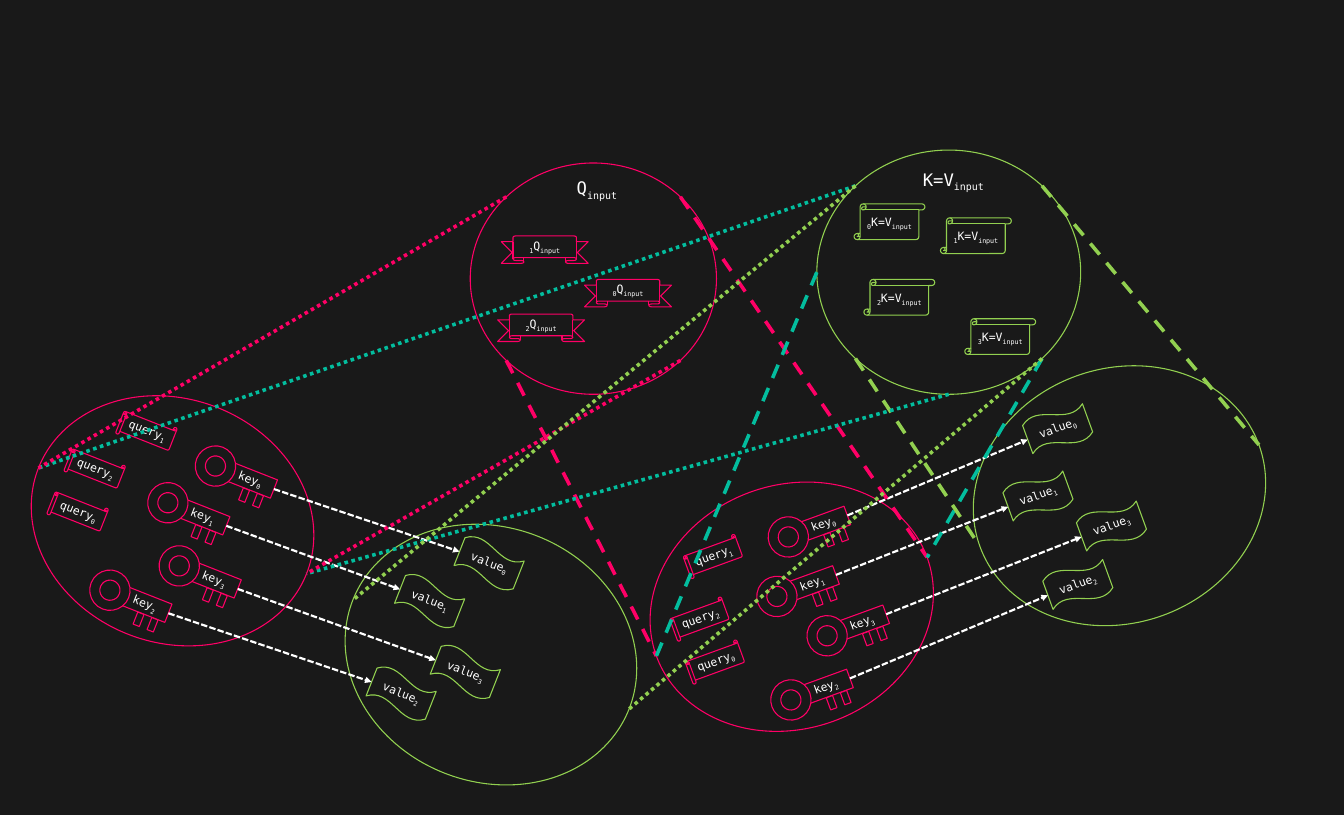
from dataclasses import dataclass
from math import cos, radians, sin

from lxml import etree
from pptx import Presentation
from pptx.dml.color import RGBColor
from pptx.enum.dml import MSO_LINE
from pptx.enum.shapes import MSO_CONNECTOR, MSO_SHAPE
from pptx.enum.text import MSO_ANCHOR, PP_ALIGN
from pptx.oxml.ns import qn
from pptx.util import Cm, Pt

COLORS = {"dark": "191919", "pink": "FF0066", "green": "92D050",
          "teal": "03BD9E", "white": "FFFFFF"}
FONT = "DejaVu Sans Mono"

ELLIPSE, RECTANGLE, DONUT = MSO_SHAPE.OVAL, MSO_SHAPE.RECTANGLE, MSO_SHAPE.DONUT
QUERY_SCROLL, INPUT_SCROLL = MSO_SHAPE.HORIZONTAL_SCROLL, MSO_SHAPE.VERTICAL_SCROLL
WAVE, RIBBON = MSO_SHAPE.WAVE, MSO_SHAPE.UP_RIBBON
STRAIGHT = MSO_CONNECTOR.STRAIGHT
DASH, SHORT_DASH, DOT = MSO_LINE.DASH, MSO_LINE.SQUARE_DOT, MSO_LINE.ROUND_DOT
CENTER, MIDDLE = PP_ALIGN.CENTER, MSO_ANCHOR.MIDDLE

# Width and height of each kind of element, in inches
HEAD_SIZE, SPACE_SIZE = (5.57, 4.71), (5.74, 4.92)
QUERY_SIZE, KEY_SIZE, VALUE_SIZE = (1.08, 0.53), (0.99, 0.38), (1.23, 0.77)
RING_SIZE, TOOTH_SIZE = (0.78, 0.78), (0.25, 0.13)
RIBBON_SIZE, SCROLL_SIZE = (1.68, 0.53), (1.37, 0.69)

# Each head: rotation, ellipse corners, and corners of its labelled elements
RIGHT_HEAD = {
    "rotation": 340, "value_space": (18.77, 7.12), "key_space": (12.52, 9.37),
    "queries": {1: (13.24, 10.49), 2: (12.98, 11.7), 0: (13.28, 12.53)},
    "keys": {2: (15.47, 13.09), 0: (15.42, 9.94), 3: (16.17, 11.85), 1: (15.2, 11.09)},
    "values": {0: (19.83, 7.9), 1: (19.45, 9.2), 3: (20.87, 9.78), 2: (20.22, 10.91)},
}
LEFT_HEAD = {
    "rotation": 21.5, "value_space": (6.62, 10.19), "key_space": (0.55, 7.71),
    "queries": {1: (2.29, 8.06), 2: (1.29, 8.79), 0: (0.96, 9.62)},
    "keys": {2: (2.3, 11.48), 0: (4.34, 9.08), 3: (3.64, 11.01), 1: (3.42, 9.79)},
    "values": {0: (8.84, 10.5), 1: (7.69, 11.23), 3: (8.38, 12.6), 2: (7.14, 13.02)},
}
Q_RIBBONS = {1: (9.69, 4.56), 2: (9.62, 6.07), 0: (11.3, 5.4)}
KV_SCROLLS = {0: (16.51, 3.94), 1: (18.18, 4.21), 3: (18.65, 6.16), 2: (16.7, 5.4)}


@dataclass
class Box:
    """A frame in inches that is turned about its centre."""
    corner: tuple
    size: tuple
    rotation: float = 0

    def point(self, across, down):
        """Return the place at an offset from the centre, along the turned axes."""
        turn = radians(self.rotation)
        return (self.corner[0] + self.size[0] / 2 + across * cos(turn) - down * sin(turn),
                self.corner[1] + self.size[1] / 2 + across * sin(turn) + down * cos(turn))

    def site(self, angle):
        """Return the rim point at an angle, clockwise from the right."""
        return self.point(self.size[0] / 2 * cos(radians(angle)),
                          self.size[1] / 2 * sin(radians(angle)))

    def attached(self, across, down, size, turn=0):
        """Return a box centred at an offset within this one."""
        x, y = self.point(across, down)
        return Box((x - size[0] / 2, y - size[1] / 2), size, self.rotation + turn)


def lengths(*inches):
    """Convert inches to slide lengths."""
    return [Cm(value * 2.54) for value in inches]


def color(name):
    """Look up a colour by name."""
    return RGBColor.from_string(COLORS[name])


def write_label(shape, body, after, before="", size=16):
    """Write centred text with subscripts before and after it."""
    frame = shape.text_frame
    frame.word_wrap = False
    frame.vertical_anchor = MIDDLE
    paragraph = frame.paragraphs[0]
    paragraph.alignment = CENTER
    paragraph.font.name = FONT
    paragraph.font.size = Pt(size)
    paragraph.font.color.rgb = color("white")
    for text, lowered in ((before, True), (body, False), (after, True)):
        if text:
            run = paragraph.add_run()
            run.text = text
            if lowered:
                run._r.get_or_add_rPr().set("baseline", "-25000")


def add_outline(shapes, kind, box, line_color, adjustments=()):
    """Add a dark preset shape with a coloured outline."""
    shape = shapes.add_shape(kind, *lengths(*box.corner, *box.size))
    shape.rotation = box.rotation
    shape.shadow.inherit = False
    shape.fill.solid()
    shape.fill.fore_color.rgb = color("dark")
    shape.line.color.rgb = color(line_color)
    shape.line.width = Pt(1.5)
    for index, value in enumerate(adjustments):
        shape.adjustments[index] = value
    return shape


def add_line(shapes, start, end, line_color, dash, width=5, arrow=False):
    """Add a dashed straight line, with an arrowhead at its end if asked."""
    connector = shapes.add_connector(STRAIGHT, *lengths(*start, *end))
    connector.line.color.rgb = color(line_color)
    connector.line.width = Pt(width)
    connector.line.dash_style = dash
    if arrow:
        etree.SubElement(connector.line._get_or_add_ln(), qn("a:tailEnd"), type="triangle")
    etree.SubElement(connector._element.spPr, qn("a:effectLst"))


def add_title(shapes, corner, size, body):
    """Add the heading of an input ellipse."""
    textbox = shapes.add_textbox(*lengths(*corner, *size))
    write_label(textbox, body, "input", size=24)


def add_key(shapes, box, number):
    """Add a key: labelled shaft, ring and two teeth."""
    write_label(add_outline(shapes, RECTANGLE, box, "pink"), "key", str(number))
    add_outline(shapes, RECTANGLE, box.attached(0, 0.32, TOOTH_SIZE, 90), "pink")
    add_outline(shapes, DONUT, box.attached(-0.72, 0, RING_SIZE), "pink")
    add_outline(shapes, RECTANGLE, box.attached(0.29, 0.32, TOOTH_SIZE, 90), "pink")


def add_head(slide, head):
    """Add one attention head as a group and return its two ellipse boxes."""
    shapes = slide.shapes.add_group_shape().shapes
    rotation = head["rotation"]
    value_space = Box(head["value_space"], SPACE_SIZE, rotation)
    key_space = Box(head["key_space"], HEAD_SIZE, rotation)
    keys = {number: Box(corner, KEY_SIZE, rotation) for number, corner in head["keys"].items()}
    values = {number: Box(corner, VALUE_SIZE, rotation)
              for number, corner in head["values"].items()}
    add_outline(shapes, ELLIPSE, value_space, "green")
    add_outline(shapes, ELLIPSE, key_space, "pink")
    for number, corner in head["queries"].items():
        scroll = add_outline(shapes, QUERY_SCROLL, Box(corner, QUERY_SIZE, rotation), "pink")
        write_label(scroll, "query", str(number))
    for number, box in keys.items():
        add_key(shapes, box, number)
    for number, box in values.items():
        write_label(add_outline(shapes, WAVE, box, "green"), "value", str(number))
    for number, box in values.items():
        add_line(shapes, keys[number].site(0), box.site(180), "white", SHORT_DASH, 3, True)
    return key_space, value_space


def add_inputs(shapes, kind, corners, size, line_color, body, adjustments):
    """Add the numbered elements of an input ellipse."""
    for number, corner in corners.items():
        shape = add_outline(shapes, kind, Box(corner, size), line_color, adjustments)
        write_label(shape, body, "input", before=str(number))


def main():
    """Build the slide."""
    presentation = Presentation()
    presentation.slide_width, presentation.slide_height = lengths(25.98, 15.75)
    slide = presentation.slides.add_slide(presentation.slide_layouts[6])
    slide.background.fill.solid()
    slide.background.fill.fore_color.rgb = color("dark")
    shapes = slide.shapes

    right_keys, right_values = add_head(slide, RIGHT_HEAD)
    left_keys, left_values = add_head(slide, LEFT_HEAD)
    kv_input = Box((15.79, 2.9), (5.1, 4.72))
    q_input = Box((9.09, 3.15), (4.76, 4.47))
    add_outline(shapes, ELLIPSE, kv_input, "green")
    add_title(shapes, (17.35, 3.19), (2.16, 0.62), "K=V")
    add_outline(shapes, ELLIPSE, q_input, "pink")
    add_title(shapes, (10.84, 3.35), (1.4, 0.62), "Q")
    add_inputs(shapes, RIBBON, Q_RIBBONS, RIBBON_SIZE, "pink", "Q", (0.21, 0.73))
    add_inputs(shapes, INPUT_SCROLL, KV_SCROLLS, SCROLL_SIZE, "green", "K=V", (0.17,))

    # Each projection runs from two rim angles to the left and right rim points
    projections = (
        (q_input, (135, 315), right_keys, "pink", DASH),
        (kv_input, (180, 45), right_keys, "teal", DASH),
        (kv_input, (135, 315), right_values, "green", DASH),
        (kv_input, (225, 90), left_keys, "teal", DOT),
        (q_input, (225, 45), left_keys, "pink", DOT),
        (kv_input, (225, 45), left_values, "green", DOT),
    )
    for source, angles, target, line_color, dash in projections:
        for angle, side in zip(angles, (180, 0)):
            add_line(shapes, source.site(angle), target.site(side), line_color, dash)
    presentation.save("out.pptx")


main()
